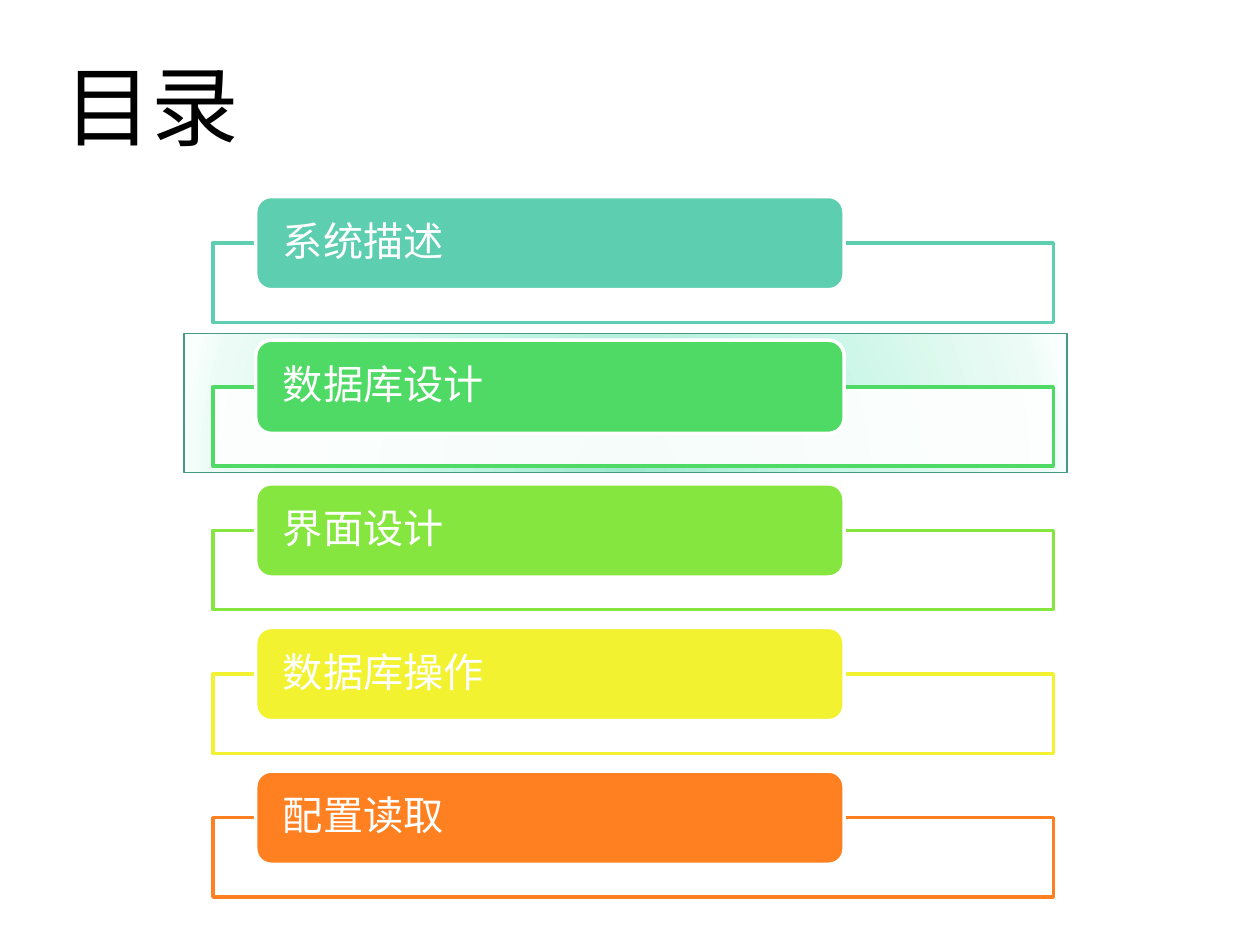
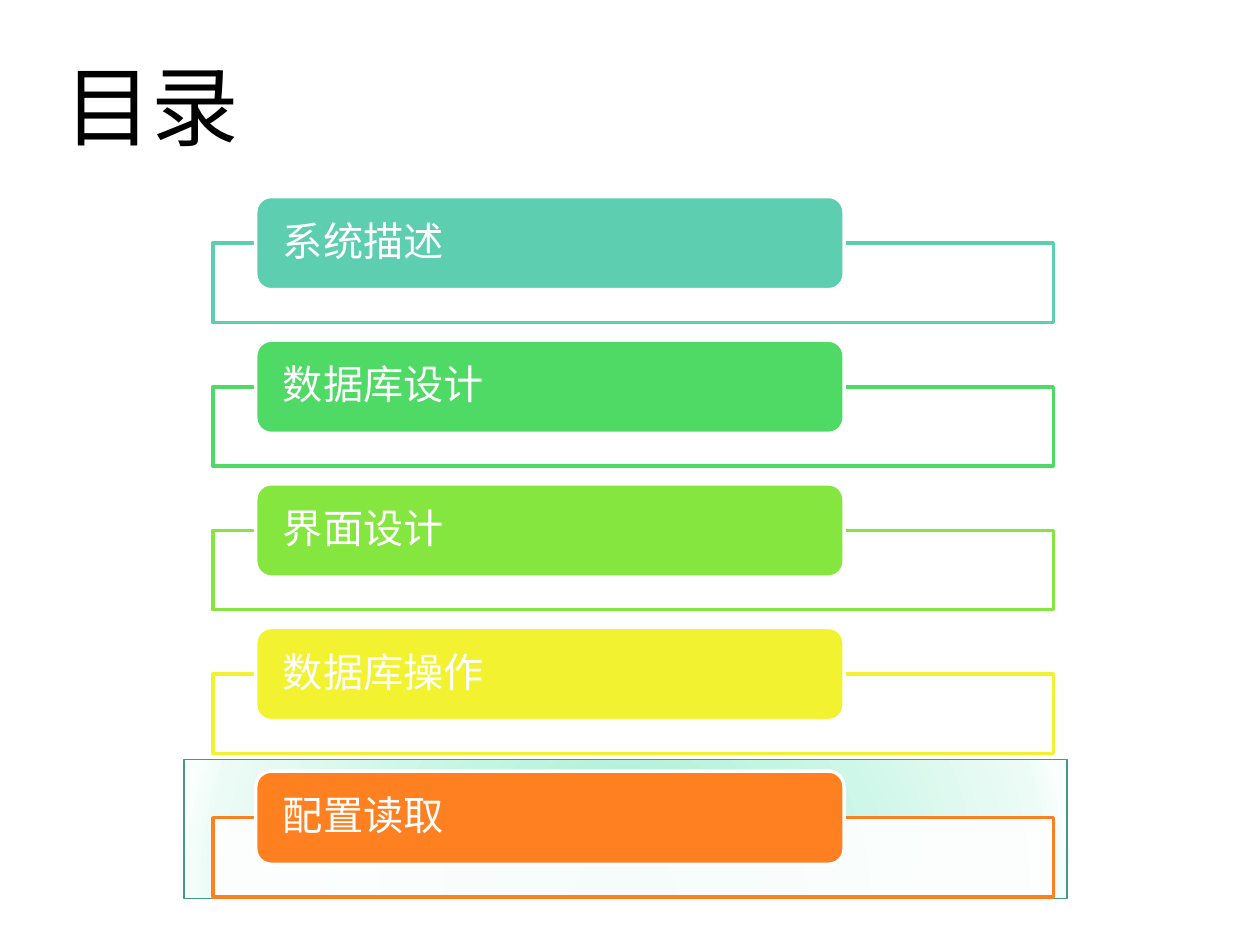
from lxml.etree import SubElement
from pptx import Presentation
from pptx.dml.color import RGBColor
from pptx.enum.shapes import MSO_SHAPE
from pptx.enum.text import MSO_ANCHOR, PP_ALIGN
from pptx.oxml import parse_xml
from pptx.oxml.ns import nsdecls, qn
from pptx.util import Inches, Pt

WHITE = RGBColor(0xFF, 0xFF, 0xFF)
BLACK = RGBColor(0x00, 0x00, 0x00)
HIGHLIGHT_EDGE = RGBColor(0x44, 0x9A, 0x82)
HIGHLIGHT_STOPS = [
    (0, RGBColor(0x9D, 0xE7, 0xCE)),
    (43, RGBColor(0xC3, 0xF5, 0xE3)),
    (93, RGBColor(0xEC, 0xFB, 0xF6)),
    (100, RGBColor(0xF8, 0xFF, 0xFC)),
]
CHAPTERS = [
    ("系统描述", RGBColor(0x5D, 0xCE, 0xAF)),
    ("数据库设计", RGBColor(0x4E, 0xDA, 0x64)),
    ("界面设计", RGBColor(0x86, 0xE6, 0x40)),
    ("数据库操作", RGBColor(0xF2, 0xF2, 0x30)),
    ("配置读取", RGBColor(0xFF, 0x80, 0x21)),
]
TITLE = "目录"
TITLE_FONT = "Noto Sans CJK SC"
CHAPTER_FONT = "Lato"
FIRST_CHAPTER_TOP = 1.56
CHAPTER_PITCH = 1.14
HIGHLIGHT_TOPS = [2.65, 6.03]


def write_text(frame, text, font_name, size, color, anchor, margins):
    """Write one left-aligned paragraph into a text frame."""
    frame.word_wrap = True
    frame.vertical_anchor = anchor
    left, top, right, bottom = (Inches(margin) for margin in margins)
    frame.margin_left, frame.margin_top = left, top
    frame.margin_right, frame.margin_bottom = right, bottom
    paragraph = frame.paragraphs[0]
    paragraph.text = text
    paragraph.alignment = PP_ALIGN.LEFT
    paragraph.font.size = Pt(size)
    paragraph.font.color.rgb = color
    paragraph.font.name = font_name
    defaults = paragraph._p.pPr.find(qn("a:defRPr"))
    SubElement(defaults, qn("a:ea")).set("typeface", font_name)
    return paragraph


def add_box(slide, kind, place, fill, edge, edge_width):
    """Add a flat preset shape with a solid fill and an outline."""
    box = slide.shapes.add_shape(kind, *(Inches(length) for length in place))
    box.shadow.inherit = False
    box.fill.solid()
    box.fill.fore_color.rgb = fill
    box.line.color.rgb = edge
    box.line.width = Pt(edge_width)
    return box


def add_title(slide):
    """Add the slide title."""
    title = slide.shapes.add_textbox(Inches(0.51), 0, Inches(9.37), Inches(1.25))
    write_text(title.text_frame, TITLE, TITLE_FONT, 50, BLACK,
               MSO_ANCHOR.BOTTOM, (0, 0.05, 0, 0))


def add_highlight(slide, top):
    """Add the radial gradient band that marks the current chapter."""
    band = add_box(slide, MSO_SHAPE.RECTANGLE, (1.46, top, 7.01, 1.1),
                   WHITE, HIGHLIGHT_EDGE, 0.75)
    stops = "".join(
        f'<a:gs pos="{position * 1000}"><a:srgbClr val="{color}"/></a:gs>'
        for position, color in HIGHLIGHT_STOPS)
    gradient = parse_xml(
        f'<a:gradFill {nsdecls("a")} rotWithShape="1"><a:gsLst>{stops}</a:gsLst>'
        '<a:path path="circle"><a:fillToRect l="50000" t="130000" r="50000" '
        'b="-30000"/></a:path></a:gradFill>')
    properties = band._element.spPr
    properties.replace(properties.find(qn("a:solidFill")), gradient)


def add_chapter(slide, top, name, color):
    """Add a chapter: an outlined frame with a rounded label on its top edge."""
    frame = add_box(slide, MSO_SHAPE.RECTANGLE, (1.69, top + 0.37, 6.67, 0.63),
                    WHITE, color, 2)
    frame_color = frame._element.spPr.find(qn("a:solidFill"))[0]
    SubElement(frame_color, qn("a:alpha")).set("val", "90000")
    label = add_box(slide, MSO_SHAPE.ROUNDED_RECTANGLE, (2.03, top, 4.67, 0.74),
                    color, WHITE, 2)
    paragraph = write_text(label.text_frame, name, CHAPTER_FONT, 23, WHITE,
                           MSO_ANCHOR.MIDDLE, (0.18, 0, 0.18, 0))
    paragraph.line_spacing = 0.9


def add_contents_slide(presentation, highlight_top):
    """Add a contents slide with one chapter highlighted."""
    slide = presentation.slides.add_slide(presentation.slide_layouts[6])
    add_highlight(slide, highlight_top)
    add_title(slide)
    for index, (name, color) in enumerate(CHAPTERS):
        add_chapter(slide, FIRST_CHAPTER_TOP + index * CHAPTER_PITCH, name, color)


def main():
    """Build and save the presentation."""
    presentation = Presentation()
    presentation.slide_width = Inches(10)
    presentation.slide_height = Inches(7.5)
    for highlight_top in HIGHLIGHT_TOPS:
        add_contents_slide(presentation, highlight_top)
    presentation.save("out.pptx")


main()
